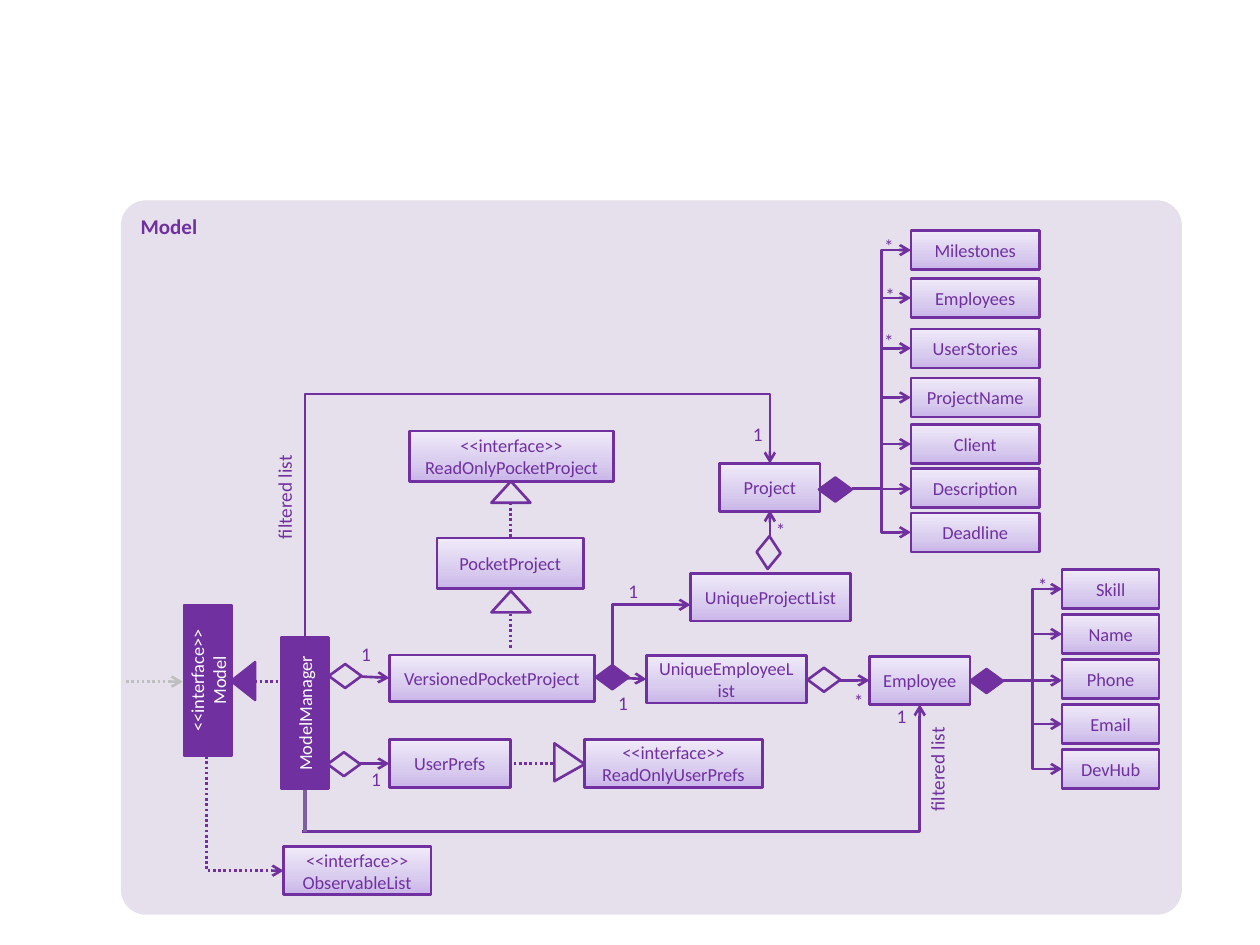
"""Build a class diagram slide of the Model component."""
from copy import deepcopy

from lxml import etree
from pptx import Presentation
from pptx.dml.color import RGBColor
from pptx.enum.dml import MSO_LINE
from pptx.enum.shapes import MSO_CONNECTOR, MSO_SHAPE
from pptx.enum.text import MSO_ANCHOR, PP_ALIGN
from pptx.oxml.ns import qn
from pptx.util import Inches, Pt

RECT, ROUND = MSO_SHAPE.RECTANGLE, MSO_SHAPE.ROUNDED_RECTANGLE
GEM, TRI = MSO_SHAPE.FLOWCHART_DECISION, MSO_SHAPE.ISOSCELES_TRIANGLE
LINE, ELBOW = MSO_CONNECTOR.STRAIGHT, MSO_CONNECTOR.ELBOW
DOTS = MSO_LINE.ROUND_DOT
LEFT, MID, RIGHT = PP_ALIGN.LEFT, PP_ALIGN.CENTER, PP_ALIGN.RIGHT
TOP, HALF = MSO_ANCHOR.TOP, MSO_ANCHOR.MIDDLE

PURPLE = RGBColor(0x70, 0x30, 0xA0)
MUTED = RGBColor(0x7D, 0x60, 0xA0)
PALE = RGBColor(0xE6, 0xE0, 0xEC)
GRAY = RGBColor(0xBF, 0xBF, 0xBF)
WHITE = RGBColor(0xFF, 0xFF, 0xFF)
FADE = [(0, RGBColor(0xC9, 0xB5, 0xE8)), (0.35, RGBColor(0xD8, 0xCB, 0xEE)),
        (1, RGBColor(0xF0, 0xEA, 0xF9))]

COLS, ROWS = 100, 75
CELL = Inches(10) // COLS


def grid(*cells):
    return [round(cell * CELL) for cell in cells]


def write(shape, text, size=10.5, color=PURPLE, bold=False, align=MID,
          anchor=HALF, inset=None):
    frame = shape.text_frame
    frame.word_wrap = True
    frame.vertical_anchor = anchor
    if inset is not None:
        frame.margin_left = frame.margin_right = inset
        frame.margin_top = frame.margin_bottom = inset
    frame.text = text
    for para in frame.paragraphs:
        para.alignment = align
        for run in para.runs:
            font = run.font
            font.name, font.size, font.bold = "Calibri", Pt(size), bold
            font.color.rgb = color


def draw(slide, kind, at, fill=None, edge=PURPLE, turn=0):
    shape = slide.shapes.add_shape(kind, *grid(*at))
    shape.shadow.inherit = False
    shape.rotation = turn
    if fill is None:
        shape.fill.background()
    else:
        shape.fill.solid()
        shape.fill.fore_color.rgb = fill
    if edge is None:
        shape.line.fill.background()
    else:
        shape.line.color.rgb = edge
        shape.line.width = Pt(1.5)
    return shape


def box(slide, text, *at):
    shape = draw(slide, RECT, at)
    shape.fill.gradient()
    shape.fill.gradient_angle = 90
    stops = shape.element.find(".//" + qn("a:gsLst"))
    stops.insert(1, deepcopy(stops[0]))
    for stop, (place, color) in zip(shape.fill.gradient_stops, FADE):
        stop.position = place
        stop.color.rgb = color
    write(shape, text)


def bar(slide, text, *at):
    write(draw(slide, RECT, at, PURPLE, turn=270), text, color=WHITE)


def gem(slide, left, top, fill=None, turn=0):
    draw(slide, GEM, (left, top, 2.6, 1.9), fill, turn=turn)


def label(slide, text, left, top):
    note = slide.shapes.add_textbox(*grid(left, top, 2.1, 2))
    write(note, text, size=11, anchor=TOP, inset=0)


def side(slide, text, left, top):
    note = slide.shapes.add_textbox(*grid(left, top, 9.6, 2.9))
    note.rotation = 270
    write(note, text, size=11, align=RIGHT, anchor=TOP)


def link(slide, start, end, kind=LINE, color=PURPLE, width=1.5, dots=False,
         head=True):
    wire = slide.shapes.add_connector(kind, *grid(*start, *end))
    wire.line.color.rgb = color
    wire.line.width = Pt(width)
    if dots:
        wire.line.dash_style = DOTS
    if head:
        edge = wire.element.find(".//" + qn("a:ln"))
        etree.SubElement(edge, qn("a:tailEnd"), type="arrow")
    etree.SubElement(wire.element.spPr, qn("a:effectLst"))
    return wire


def corner(wire):
    wire.element.find(".//" + qn("a:prstGeom")).set("prst", "bentConnector2")


def rise(slide, start, end, bend=None, **style):
    """Draw an elbow that leaves its start vertically."""
    (x1, y1), (x2, y2) = start, end
    midx, midy = (x1 + x2) / 2, (y1 + y2) / 2
    run, drop = (y2 - y1) / 2, (x1 - x2) / 2
    wire = link(slide, (midx - run, midy - drop), (midx + run, midy + drop),
                ELBOW, **style)
    wire.element.find(".//" + qn("a:xfrm")).set("rot", str(90 * 60000))
    if bend is None:
        corner(wire)
    else:
        guides = wire.element.find(".//" + qn("a:avLst"))
        etree.SubElement(guides, qn("a:gd"), name="adj1",
                         fmla=f"val {round(bend * 100000)}")


def fan(slide, start, left, width, items):
    for text, top in items:
        y = top + 1.55
        if abs(y - start[1]) < 0.5:
            link(slide, start, (left, start[1]))
        else:
            link(slide, start, (left, y), ELBOW)
        box(slide, text, left, top, width, 3.1)


def wires(slide):
    corner(link(slide, (24, 66), (73, 55.9), ELBOW))
    rise(slide, (24.2, 50.6), (61.1, 36.8), 1.4)
    rise(slide, (16.4, 60), (22.5, 69.1), dots=True)
    rise(slide, (48.6, 54.1), (54.8, 48))
    link(slide, (10, 54.1), (14.5, 54.1), color=GRAY, dots=True)
    link(slide, (24.2, 62.6), (24.2, 66), color=MUTED, width=2.25, head=False)
    for start, end in [((28.5, 60.6), (30.9, 60.6)), ((28.7, 53.7), (30.9, 53.8)),
                       ((47.3, 53.7), (51.3, 53.9)), ((66.7, 54), (69, 54)),
                       ((61.1, 42.6), (61.1, 40.5))]:
        link(slide, start, end)
    for start, end in [((20.2, 54.1), (22.6, 54.1)), ((40.5, 48.7), (40.5, 51.6)),
                       ((40.5, 39.9), (40.5, 42.9)), ((43.9, 60.6), (40.5, 60.6))]:
        link(slide, start, end, dots=True, head=False)


def boxes(slide):
    bar(slide, "ModelManager", 18.2, 54.7, 12, 3.8)
    bar(slide, "<<interface>>\nModel", 10.5, 52.1, 12, 3.8)
    for item in [("UserPrefs", 30.9, 58.7, 9.6, 3.8),
                 ("VersionedPocketProject", 30.9, 52, 16.3, 3.7),
                 ("UniqueEmployeeList", 51.3, 52, 12.7, 3.8),
                 ("Employee", 69, 52.1, 8, 3.8),
                 ("<<interface>>\nReadOnlyPocketProject", 32.5, 34.2, 16.2, 4),
                 ("<<interface>>\nObservableList", 22.5, 67.2, 11.7, 3.8),
                 ("PocketProject", 34.7, 42.7, 11.6, 4),
                 ("<<interface>>\nReadOnlyUserPrefs", 46.4, 58.7, 14.1, 3.8),
                 ("UniqueProjectList", 54.8, 45.5, 12.7, 3.8),
                 ("Project", 57.1, 36.8, 8, 3.8)]:
        box(slide, *item)
    names = ["Skill", "Name", "Phone", "Email", "DevHub"]
    fan(slide, (79.6, 54), 84.3, 7.7,
        [(name, 45.2 + 3.57 * row) for row, name in enumerate(names)])
    fan(slide, (67.6, 38.8), 72.3, 10.2,
        [("Milestones", 18.3), ("Employees", 22.1), ("UserStories", 26.1),
         ("ProjectName", 30), ("Client", 33.7), ("Description", 37.2),
         ("Deadline", 40.7)])


def marks(slide):
    for left, top in [(26, 59.7), (26.1, 52.7), (64.1, 53)]:
        gem(slide, left, top)
    for left, top in [(47.3, 52.8), (77, 53.1), (65, 37.9)]:
        gem(slide, left, top, PURPLE)
    gem(slide, 59.7, 42.9, turn=273.1)
    draw(slide, TRI, (17.8, 53.1, 3, 1.9), PURPLE, turn=270)
    for top in (46.9, 38.2):
        draw(slide, TRI, (39, top, 3.1, 1.7), PALE)
    tip = draw(slide, TRI, (43.7, 59.3, 3, 2.4), PALE, turn=90)
    tip.adjustments[0] = 0.55
    for left, top in [(48.4, 54.9), (28, 51), (28.8, 60.9), (70.5, 55.9),
                      (49.2, 46), (59.1, 33.5)]:
        label(slide, "1", left, top)
    for left, top in [(67.1, 54.7), (81.7, 45.5), (60.9, 41.1), (69.5, 18.6),
                      (69.6, 22.5), (69.5, 26.1)]:
        label(slide, "*", left, top)
    for left, top in [(69.6, 60.1), (17.8, 38.5)]:
        side(slide, "filtered list", left, top)


def main():
    deck = Presentation()
    deck.slide_width, deck.slide_height = grid(COLS, ROWS)
    slide = deck.slides.add_slide(deck.slide_layouts[6])
    panel = draw(slide, ROUND, (9.6, 15.9, 84.2, 56.7), PALE, None)
    panel.adjustments[0] = 0.035
    write(panel, "Model", size=12, bold=True, align=LEFT, anchor=TOP)
    wires(slide)
    boxes(slide)
    marks(slide)
    deck.save("out.pptx")


main()
